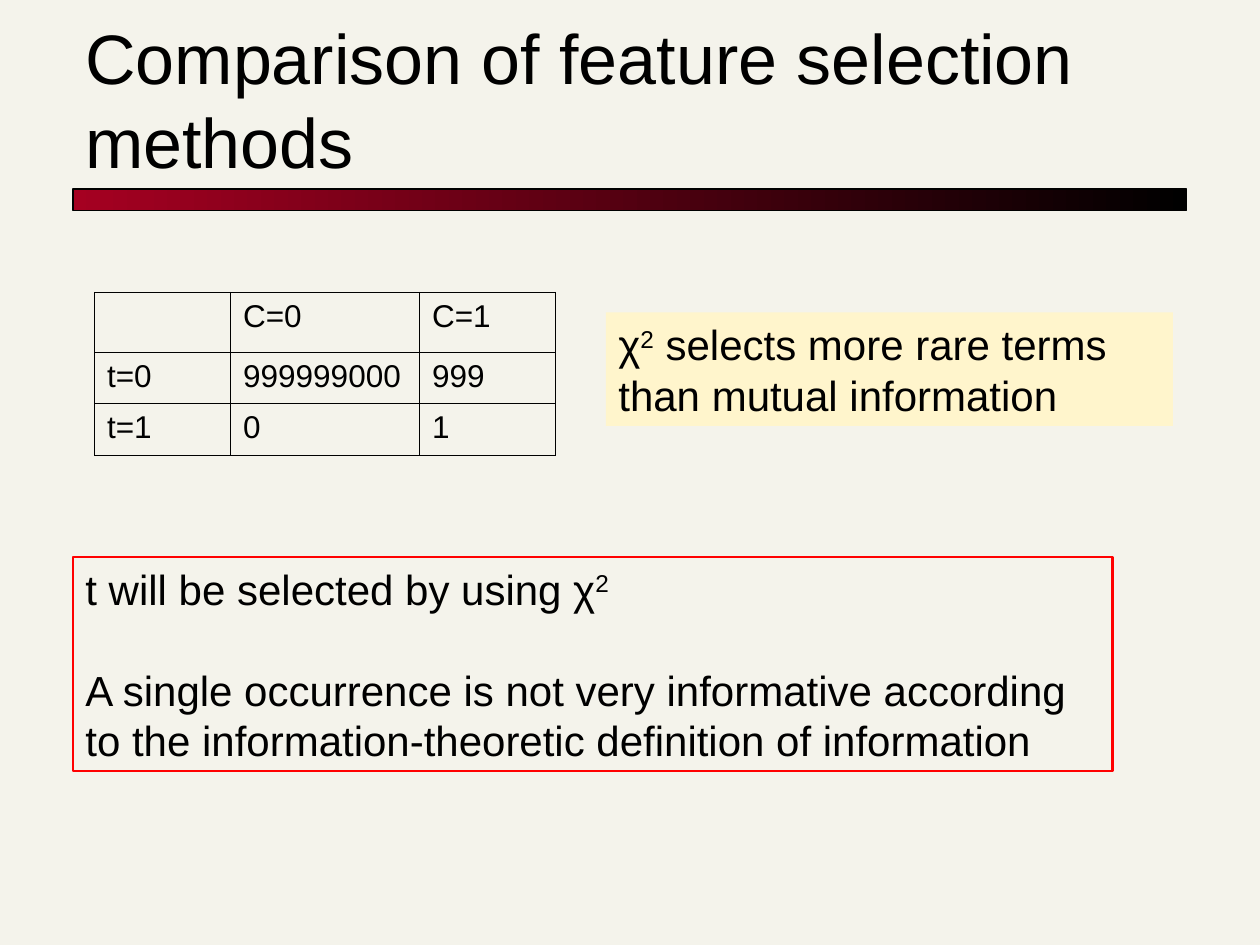
from lxml import etree
from pptx import Presentation
from pptx import util as u
from pptx.dml.color import RGBColor
from pptx.enum import shapes, text
from pptx.oxml import ns

BACKGROUND = RGBColor(0xF4, 0xF3, 0xEB)
BLACK = RGBColor(0, 0, 0)
CRIMSON = RGBColor(0xA5, 0x00, 0x21)
RED = RGBColor(0xFF, 0, 0)
CREAM = RGBColor(0xFF, 0xF5, 0xCC)

COUNTS = [
    ["", "C=0", "C=1"],
    ["t=0", "999999000", "999"],
    ["t=1", "0", "1"],
]
COLUMN_WIDTHS = [1.08, 1.5, 1.08]
ROW_HEIGHTS = [0.48, 0.4, 0.41]


def inches(box):
    return [u.Inches(length) for length in box]


def style(paragraph, size):
    paragraph.alignment = text.PP_ALIGN.LEFT
    paragraph.font.name = "Arial"
    paragraph.font.size = u.Pt(size)
    paragraph.font.color.rgb = BLACK


def add_rectangle(slide, box):
    shape = slide.shapes.add_shape(shapes.MSO_SHAPE.RECTANGLE, *inches(box))
    shape.shadow.inherit = False
    return shape


def add_title(slide, box, title):
    frame = slide.shapes.add_textbox(*inches(box)).text_frame
    frame.word_wrap = True
    frame.vertical_anchor = text.MSO_ANCHOR.BOTTOM
    frame.text = title
    style(frame.paragraphs[0], 40)


def add_title_bar(slide, box):
    bar = add_rectangle(slide, box)
    bar.fill.gradient()
    bar.fill.gradient_angle = 0
    for stop, color, position in zip(bar.fill.gradient_stops, (CRIMSON, BLACK), (0, 1)):
        stop.color.rgb = color
        stop.position = position
    bar.line.color.rgb = BLACK
    bar.line.width = u.Pt(0.75)


def add_cell_borders(cell):
    properties = cell._tc.get_or_add_tcPr()
    for position, side in enumerate(("lnL", "lnR", "lnT", "lnB")):
        border = etree.Element(ns.qn(f"a:{side}"), w=str(u.Pt(0.45)))
        fill = etree.SubElement(border, ns.qn("a:solidFill"))
        etree.SubElement(fill, ns.qn("a:srgbClr"), val=str(BLACK))
        properties.insert(position, border)


def add_count_table(slide, box):
    table = slide.shapes.add_table(len(COUNTS), len(COUNTS[0]), *inches(box)).table
    table.first_row = table.horz_banding = False
    for column, width in zip(table.columns, COLUMN_WIDTHS):
        column.width = u.Inches(width)
    for row, height, values in zip(table.rows, ROW_HEIGHTS, COUNTS):
        row.height = u.Inches(height)
        for cell, value in zip(row.cells, values):
            cell.text = value
            style(cell.text_frame.paragraphs[0], 18)
            cell.fill.background()
            add_cell_borders(cell)


def add_note(slide, box, paragraphs, fill=None, line=None):
    """Each paragraph is a list of runs; the run "2" is set as an exponent."""
    note = add_rectangle(slide, box)
    if fill is None:
        note.fill.background()
    else:
        note.fill.solid()
        note.fill.fore_color.rgb = fill
    if line is None:
        note.line.fill.background()
    else:
        note.line.color.rgb = line
        note.line.width = u.Pt(1.5)

    frame = note.text_frame
    frame.word_wrap = True
    frame.vertical_anchor = text.MSO_ANCHOR.TOP
    for index, runs in enumerate(paragraphs):
        paragraph = frame.add_paragraph() if index else frame.paragraphs[0]
        if index:
            paragraph.space_before = u.Pt(29)
        style(paragraph, 24)
        for words in runs:
            run = paragraph.add_run()
            run.text = words
            if words == "2":
                run.font._element.set("baseline", "30000")


def main():
    presentation = Presentation()
    presentation.slide_width = u.Inches(10)
    presentation.slide_height = u.Inches(7.5)
    slide = presentation.slides.add_slide(presentation.slide_layouts[6])
    slide.background.fill.solid()
    slide.background.fill.fore_color.rgb = BACKGROUND

    # Heading
    add_title_bar(slide, (0.58, 1.5, 8.84, 0.17))
    add_title(slide, (0.58, 0.42, 8.83, 1.08), "Comparison of feature selection methods")

    # Term and class counts
    add_count_table(slide, (0.75, 2.32, sum(COLUMN_WIDTHS), sum(ROW_HEIGHTS)))

    # Conclusions
    add_note(slide, (0.58, 4.42, 8.25, 1.7), [
        ["t will be selected by using χ", "2"],
        ["A single occurrence is not very informative according to the "
         "information-theoretic definition of information"],
    ], line=RED)
    add_note(slide, (4.81, 2.48, 4.5, 0.9), [
        ["χ", "2", " selects more rare terms than mutual information"],
    ], fill=CREAM)

    presentation.save("out.pptx")


if __name__ == "__main__":
    main()
